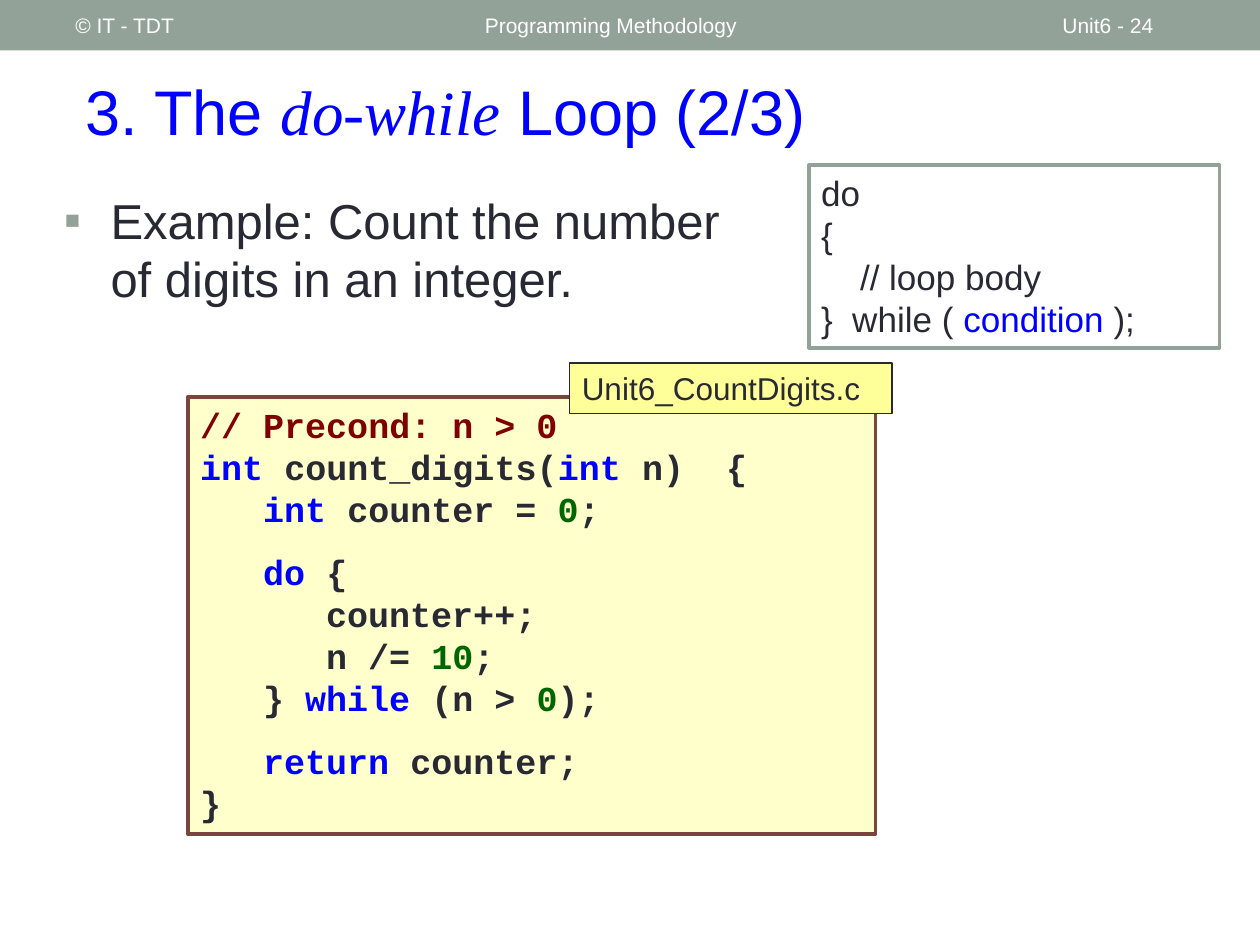
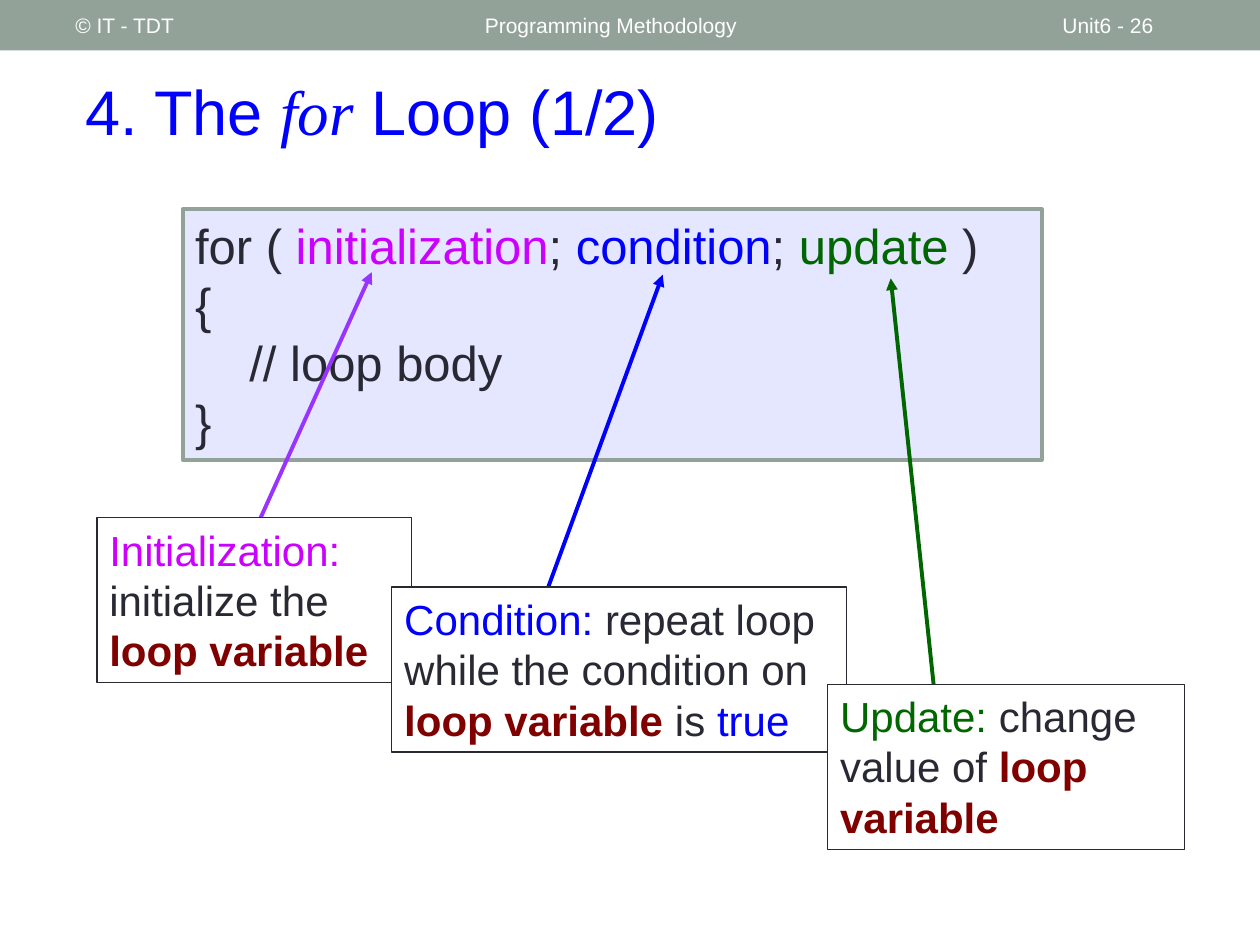
import pptx
import pptx.dml.color
import pptx.enum.shapes
import pptx.enum.text
import pptx.oxml
import pptx.util
from pptx.oxml.ns import qn

Pt = pptx.util.Pt

# Shared colours and text formats
SAGE, INK, WHITE = "93A299", "292934", "FFFFFF"
BLUE, MAGENTA, GREEN, MAROON = "0000FF", "CC00FF", "006600", "800000"
LINE_FACTOR = 1.2

TITLE = {"name": "Arial", "size": Pt(36), "color": BLUE}
KEYWORD = {"name": "Times New Roman", "italic": True}
BAND = {"name": "Arial", "size": Pt(12), "color": WHITE}
CODE = {"name": "Courier New", "size": Pt(20), "color": INK, "bold": True}
LOOP_VARIABLE = {"color": MAROON, "bold": True}


def rgb(value):
    return pptx.dml.color.RGBColor.from_string(value)


def body_format(size):
    return {"name": "Arial", "size": Pt(size), "color": INK}


def colored(text, color):
    return text, {"color": color}


def apply_font(font, values):
    for attribute, value in values.items():
        if attribute == "color":
            font.color.rgb = rgb(value)
        else:
            setattr(font, attribute, value)


def write_paragraph(paragraph, pieces, base, space_before=0):
    """Write plain strings and (text, format) pairs over a base format."""
    paragraph.alignment = pptx.enum.text.PP_ALIGN.LEFT
    paragraph.line_spacing = Pt(base["size"].pt * LINE_FACTOR)
    if space_before:
        paragraph.space_before = Pt(space_before)
    for piece in pieces:
        text, changes = (piece, {}) if isinstance(piece, str) else piece
        run = paragraph.add_run()
        run.text = text
        apply_font(run.font, {**base, **changes})


def write_lines(shape, lines, base, gaps=None, anchor="TOP"):
    """Write one paragraph per line; gaps maps a line number to space before."""
    frame = shape.text_frame
    frame.word_wrap = True
    frame.vertical_anchor = getattr(pptx.enum.text.MSO_ANCHOR, anchor)
    for number, pieces in enumerate(lines):
        paragraph = frame.add_paragraph() if number else frame.paragraphs[0]
        write_paragraph(paragraph, pieces, base, (gaps or {}).get(number, 0))


def add_text(slide, box, lines, base, anchor="TOP"):
    shape = slide.shapes.add_textbox(*map(Pt, box))
    write_lines(shape, lines, base, anchor=anchor)
    return shape


def add_panel(slide, box, fill, line=None, width=0.75):
    rectangle = pptx.enum.shapes.MSO_SHAPE.RECTANGLE
    shape = slide.shapes.add_shape(rectangle, *map(Pt, box))
    shape.shadow.inherit = False
    shape.fill.solid()
    shape.fill.fore_color.rgb = rgb(fill)
    if line:
        shape.line.color.rgb = rgb(line)
        shape.line.width = Pt(width)
    else:
        shape.line.fill.background()
    return shape


def add_arrow(slide, start, end, color):
    straight = pptx.enum.shapes.MSO_CONNECTOR.STRAIGHT
    arrow = slide.shapes.add_connector(straight, *map(Pt, start + end))
    arrow.line.color.rgb = rgb(color)
    arrow.line.width = Pt(2.25)
    arrow.line._get_or_add_ln().append(
        pptx.oxml.parse_xml(
            '<a:tailEnd xmlns:a="http://schemas.openxmlformats.org/drawingml/2006/main"'
            ' type="triangle"/>'
        )
    )
    properties = arrow._element.spPr
    properties.append(properties.makeelement(qn("a:effectLst"), {}))


def add_header(slide, box, number):
    """Top band with its three labels."""
    left, top, width, height = box
    add_panel(slide, box, SAGE)
    labels = (
        (270, 324, "Programming Methodology"),
        (600, 84, f"Unit6 - {number}"),
        (36, 228, "© IT - TDT"),
    )
    for offset, label_width, text in labels:
        label_box = (left + offset, top + 1.4, label_width, height - 2.8)
        add_text(slide, label_box, [[text]], BAND, "MIDDLE")


def add_content_slide(presentation, number, before, keyword, after):
    slide = presentation.slides.add_slide(presentation.slide_layouts[6])
    add_header(slide, (0, 0, 720, 28.8), number)
    title = [before, (keyword, KEYWORD), after]
    add_text(slide, (41.8, 30.2, 660, 66.2), [title], TITLE, "MIDDLE")
    return slide


def add_bullet(slide, box, text):
    shape = add_text(slide, box, [[text]], body_format(28))
    properties = shape.text_frame.paragraphs[0]._p.get_or_add_pPr()
    indent = Pt(26.6)
    properties.set("marL", str(indent))
    properties.set("indent", str(-indent))
    color = properties.makeelement(qn("a:buClr"), {})
    color.append(color.makeelement(qn("a:srgbClr"), {"val": SAGE}))
    properties.append(color)
    properties.append(properties.makeelement(qn("a:buFont"), {"typeface": "Arial"}))
    properties.append(properties.makeelement(qn("a:buChar"), {"char": "▪"}))


def add_syntax(slide, box, lines, size, fill):
    """Framed loop syntax."""
    panel = add_panel(slide, box, fill, SAGE, 2.08)
    write_lines(panel, lines, body_format(size))


def add_listing(slide, box, lines, gaps, file_name):
    """Code panel with a file name tab over its top right corner."""
    left, top, width, height = box
    panel = add_panel(slide, box, "FFFFCC", "79463D", 2.08)
    write_lines(panel, lines, CODE, gaps)
    tab_box = (left + width - 175, top - 19.4, 184.3, 28.8)
    tab = add_panel(slide, tab_box, "FFFF99", INK)
    write_lines(tab, [[file_name]], body_format(18))


def add_callout(slide, box, pieces, start, end, color):
    """Explanation box with an arrow; start is relative to the box corner."""
    left, top = box[:2]
    add_arrow(slide, (left + start[0], top + start[1]), end, color)
    panel = add_panel(slide, box, WHITE, INK)
    write_lines(panel, [pieces], body_format(24))


def build_do_while(presentation):
    slide = add_content_slide(presentation, 24, "3. The ", "do-while", " Loop (2/3)")
    add_bullet(
        slide,
        (29.5, 105.1, 401, 86.4),
        "Example: Count the number of digits in an integer.",
    )
    syntax = [
        ["do"],
        ["{"],
        ["    // loop body"],
        ["}  while ( ", colored("condition", BLUE), " );"],
    ]
    add_syntax(slide, (462.2, 94.3, 234.7, 104.4), syntax, 20, WHITE)

    integer = colored("int ", BLUE)
    zero = colored("0", GREEN)
    code = [
        [colored("// Precond: n > 0", MAROON)],
        [integer, "count_digits(", integer, "n)  {"],
        ["\t", integer, "counter = ", zero, ";"],
        ["\t", colored("do ", BLUE), "{"],
        ["\t\tcounter++;"],
        ["\t\tn /= ", colored("10", GREEN), ";"],
        ["\t} ", colored("while", BLUE), " (n > ", zero, ");"],
        ["\t", colored("return", BLUE), " counter;"],
        ["}"],
    ]
    listing_box = (107.3, 226.8, 393.1, 249.8)
    add_listing(slide, listing_box, code, {3: 12, 7: 12}, "Unit6_CountDigits.c")


def build_for(presentation):
    slide = add_content_slide(presentation, 26, "4. The ", "for", " Loop (1/2)")
    syntax = [
        [
            "for ( ",
            colored("initialization", MAGENTA),
            "; ",
            colored("condition", BLUE),
            "; ",
            colored("update", GREEN),
            " )",
        ],
        ["{"],
        ["    // loop body"],
        ["}"],
    ]
    add_syntax(slide, (104.4, 119.5, 491, 143.3), syntax, 28, "E5E6FF")

    # Callouts: left, top, width, text, arrow start, arrow end, arrow colour
    callouts = (
        (
            55.4, 295.9, 180,
            [
                colored("Initialization: ", MAGENTA),
                "initialize the ",
                ("loop variable", LOOP_VARIABLE),
            ],
            (92.2, 2.9), (212.4, 155.5), "9933FF",
        ),
        (
            223.9, 335.5, 259.9,
            [
                colored("Condition: ", BLUE),
                "repeat loop while the condition on ",
                ("loop variable ", LOOP_VARIABLE),
                "is ",
                colored("true", BLUE),
            ],
            (79.9, 25.9), (378.7, 157), BLUE,
        ),
        (
            473, 391, 203.8,
            [
                colored("Update: ", GREEN),
                "change value of ",
                ("loop variable", LOOP_VARIABLE),
            ],
            (60.5, 0), (509, 159.1), GREEN,
        ),
    )
    for left, top, width, pieces, start, end, color in callouts:
        add_callout(slide, (left, top, width, 94.3), pieces, start, end, color)


def main():
    presentation = pptx.Presentation()
    presentation.slide_width = Pt(720)
    presentation.slide_height = Pt(540)
    build_do_while(presentation)
    build_for(presentation)
    presentation.save("out.pptx")


if __name__ == "__main__":
    main()
